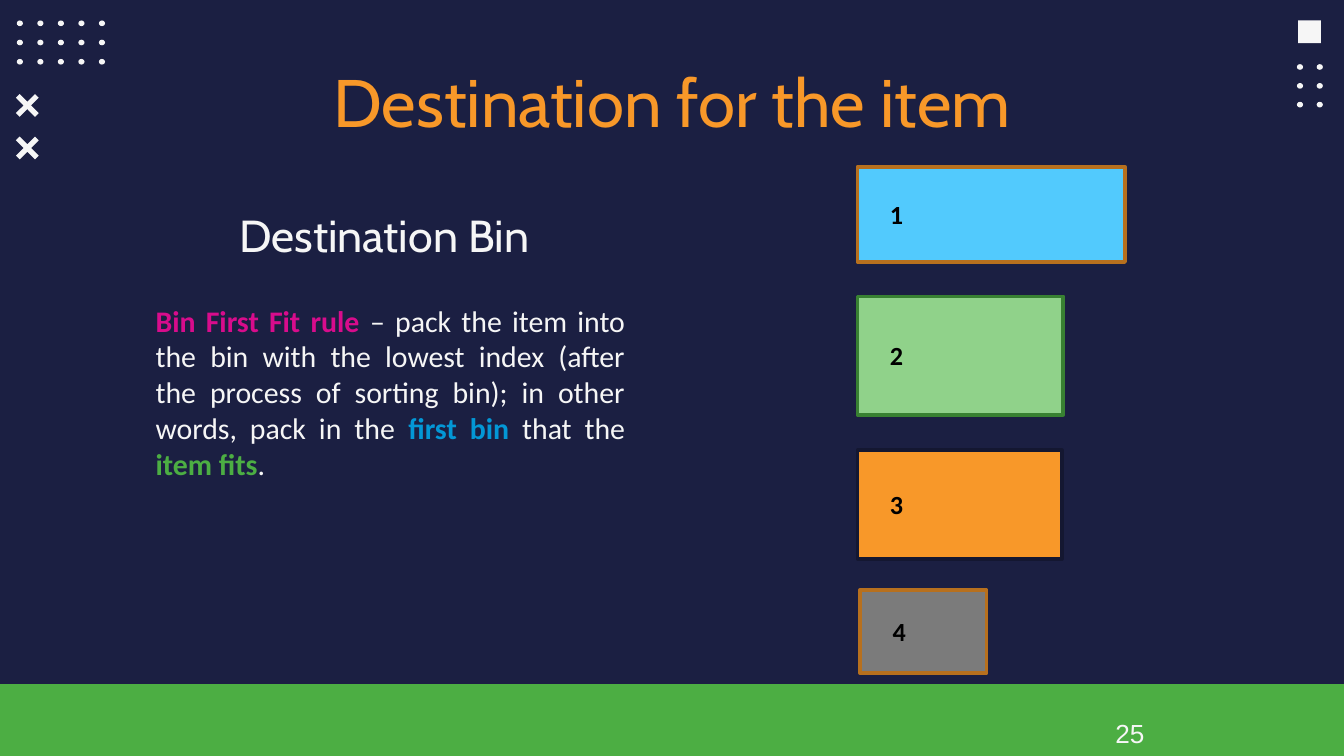
from pptx import Presentation
from pptx import util as u
from pptx.dml.color import RGBColor
from pptx.enum import shapes, text

NAVY = RGBColor(0x1B, 0x1F, 0x42)
WHITE = RGBColor(0xF6, 0xF6, 0xF6)
BLACK = RGBColor(0x00, 0x00, 0x00)
ORANGE = RGBColor(0xF8, 0x98, 0x29)
GREEN = RGBColor(0x4C, 0xAE, 0x43)
PINK = RGBColor(0xD8, 0x0C, 0x8C)
BLUE = RGBColor(0x03, 0x97, 0xD6)
SKY = RGBColor(0x52, 0xCA, 0xFD)
MINT = RGBColor(0x90, 0xD2, 0x8A)
GREY = RGBColor(0x7B, 0x7B, 0x7B)
BROWN = RGBColor(0xB7, 0x70, 0x1E)
FOREST = RGBColor(0x38, 0x81, 0x32)
INK = RGBColor(0x14, 0x17, 0x31)

RECTANGLE = shapes.MSO_SHAPE.RECTANGLE
OVAL = shapes.MSO_SHAPE.OVAL
LEFT, CENTER, JUSTIFY = text.PP_ALIGN.LEFT, text.PP_ALIGN.CENTER, text.PP_ALIGN.JUSTIFY

BINS = [
    ("1", 459.4, 89.3, 143.3, 51.1, SKY, BROWN),
    ("2", 459.4, 158.8, 110.2, 63.4, MINT, FOREST),
    ("3", 459.4, 241.2, 109.4, 58.3, ORANGE, INK),
    ("4", 460.8, 316.1, 67.7, 44.6, GREY, BROWN),
]

RULE = [
    ("Bin First Fit rule ", PINK, True),
    ("– pack the item into the bin with the lowest index (after the process of "
     "sorting bin); in other words, pack in the ", WHITE, False),
    ("first bin ", BLUE, True),
    ("that the ", WHITE, False),
    ("item fits", GREEN, True),
    (".", WHITE, False),
]


class SlidePainter:
    heading_font = "Cabin"
    body_font = "Calibri"
    number_font = "Arial"
    line_width = 2

    def __init__(self, page):
        self.page = page
        page.background.fill.solid()
        page.background.fill.fore_color.rgb = NAVY

    def paint(self, shape, fill, line=None):
        shape.shadow.inherit = False
        shape.fill.solid()
        shape.fill.fore_color.rgb = fill
        if line is None:
            shape.line.fill.background()
        else:
            shape.line.color.rgb = line
            shape.line.width = u.Pt(self.line_width)

    def shape(self, kind, left, top, width, height, fill, line=None):
        shape = self.page.shapes.add_shape(
            kind, u.Pt(left), u.Pt(top), u.Pt(width), u.Pt(height))
        self.paint(shape, fill, line)

    def dots(self, left, top, columns, rows, step_x, step_y):
        for row in range(rows):
            for column in range(columns):
                self.shape(OVAL, left + column * step_x, top + row * step_y,
                           3.3, 3, WHITE)

    def cross(self, left, top, size=12.2, notch=2):
        middle, far = size / 2, size - notch
        inner, outer = notch, size - notch
        corners = [
            (inner, 0), (middle, middle - notch), (far, 0), (size, inner),
            (middle + notch, middle), (size, outer), (far, size),
            (middle, middle + notch), (inner, size), (0, outer),
            (middle - notch, middle), (0, inner),
        ]
        points = [(u.Pt(left + x), u.Pt(top + y)) for x, y in corners]
        builder = self.page.shapes.build_freeform(*points[0])
        builder.add_line_segments(points[1:], close=True)
        self.paint(builder.convert_to_shape(), WHITE)

    def text(self, left, top, width, height, spans, size, font, align=CENTER, inset=3.6):
        box = self.page.shapes.add_textbox(
            u.Pt(left), u.Pt(top), u.Pt(width), u.Pt(height))
        frame = box.text_frame
        frame.word_wrap = True
        frame.vertical_anchor = text.MSO_ANCHOR.TOP
        frame.margin_top = frame.margin_bottom = u.Pt(inset)
        para = frame.paragraphs[0]
        para.alignment = align
        for words, color, bold in spans:
            span = para.add_run()
            span.text = words
            span.font.size = u.Pt(size)
            span.font.name = font
            span.font.bold = bold
            span.font.color.rgb = color

    def bin(self, number, left, top, width, height, fill, line):
        self.shape(RECTANGLE, left, top, width, height, fill, line)
        self.text(left, top + height / 2 - 12.1, 41.8, 24.2,
                  [(number, BLACK, True)], 14, self.body_font)


def main():
    deck = Presentation()
    deck.slide_width, deck.slide_height = u.Pt(720), u.Pt(405)
    painter = SlidePainter(deck.slides.add_slide(deck.slide_layouts[6]))

    painter.shape(RECTANGLE, 695.5, 11, 12.2, 12.2, WHITE)
    for top in (50.4, 73.2):
        painter.cross(8.6, top)
    painter.dots(9, 11, 5, 3, 11, 10.3)
    painter.dots(694.8, 34.4, 2, 3, 10.6, 10.1)
    painter.shape(RECTANGLE, 0, 366.5, 720, 38.5, GREEN)

    painter.text(590.4, 380.9, 123.8, 24.2, [("25", WHITE, False)], 14,
                 painter.number_font, LEFT)
    for row in BINS:
        painter.bin(*row)
    painter.text(76.3, 158.4, 265.7, 85, RULE, 16, painter.body_font, JUSTIFY)
    painter.text(104.4, 108, 203, 36, [("Destination Bin", WHITE, False)], 24,
                 painter.heading_font)
    painter.text(56.2, 25.2, 607.6, 45.4, [("Destination for the item", ORANGE, False)],
                 36, painter.heading_font, inset=7.2)

    deck.save("out.pptx")


if __name__ == "__main__":
    main()
